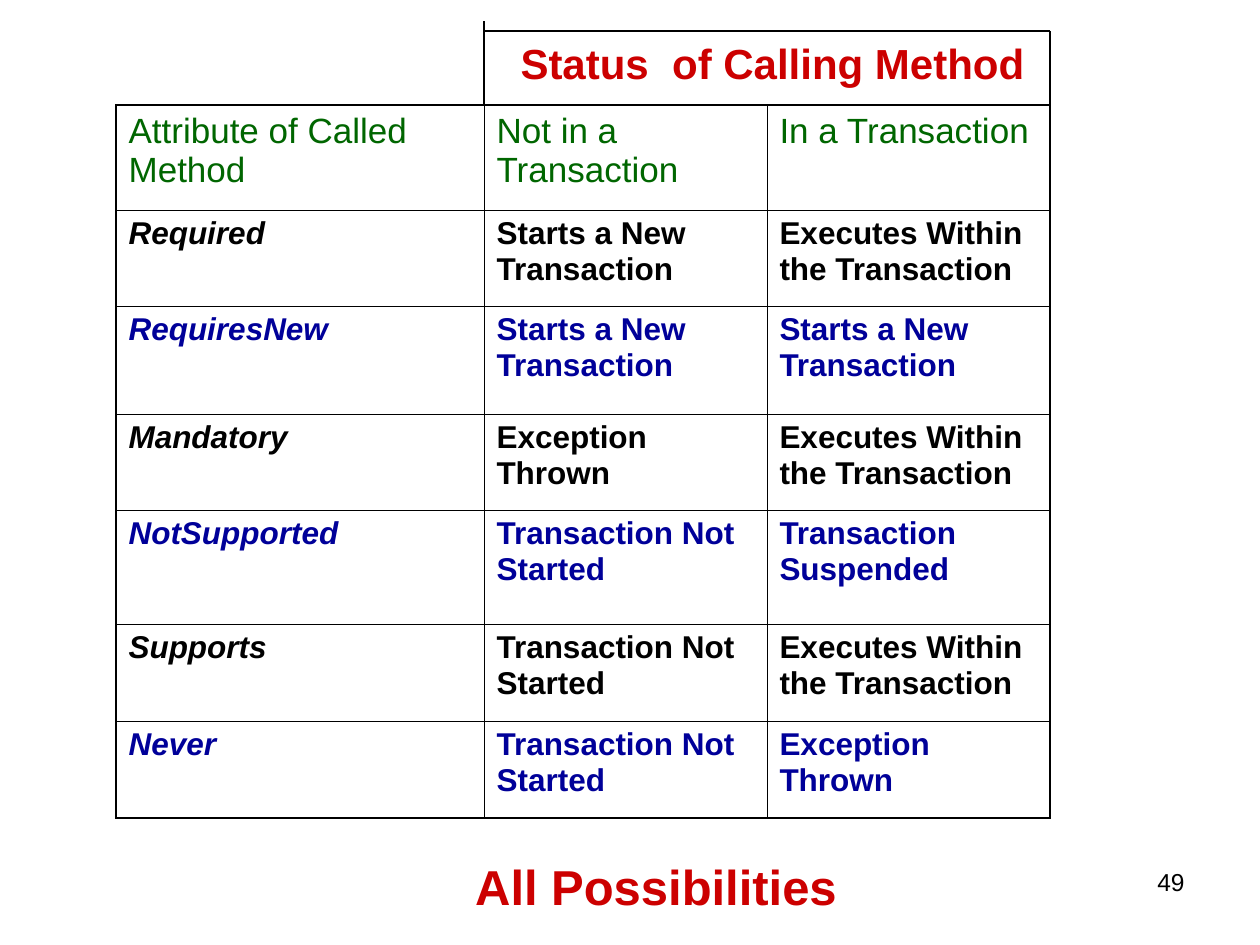
import pptx
import pptx.util
import pptx.dml.color
import pptx.enum.shapes
import pptx.enum.text
import pptx.oxml.ns
from lxml import etree

PX = 914400 / 126
FONT = "Arial"
BLACK, RED, GREEN, BLUE = "000000", "CC0000", "006600", "000099"
THIN, THICK = 0.45, 1.08
ALIGN = pptx.enum.text.PP_ALIGN

COLUMNS = [368, 283, 283]
ROWS = [105, 96, 108, 96, 114, 97, 97]
CELLS = [
    ["Attribute of Called Method", "Not in a Transaction", "In a Transaction"],
    ["Required", "Starts a New Transaction", "Executes Within the Transaction"],
    ["RequiresNew", "Starts a New Transaction", "Starts a New Transaction"],
    ["Mandatory", "Exception Thrown", "Executes Within the Transaction"],
    ["NotSupported", "Transaction Not Started", "Transaction Suspended"],
    ["Supports", "Transaction Not Started", "Executes Within the Transaction"],
    ["Never", "Transaction Not Started", "Exception Thrown"],
]


def emu(px):
    return pptx.util.Emu(round(px * PX))


def color(code):
    return pptx.dml.color.RGBColor.from_string(code)


def write(frame, text, size, code, bold=False, italic=False, align=ALIGN.LEFT, before=0):
    frame.word_wrap = True
    para = frame.paragraphs[0]
    para.alignment = align
    para.space_before = pptx.util.Pt(before)
    span = para.add_run()
    span.text = text
    span.font.name = FONT
    span.font.size = pptx.util.Pt(size)
    span.font.bold = bold
    span.font.italic = italic
    span.font.color.rgb = color(code)


def place(shape, left, top, width, height):
    shape.left, shape.top = emu(left), emu(top)
    shape.width, shape.height = emu(width), emu(height)


def add_text(page, box, *args, **options):
    shape = page.shapes.add_textbox(*map(emu, box))
    write(shape.text_frame, *args, **options)


def add_line(page, x1, y1, x2, y2):
    line = page.shapes.add_connector(
        pptx.enum.shapes.MSO_CONNECTOR.STRAIGHT, emu(x1), emu(y1), emu(x2), emu(y2))
    line.line.color.rgb = color(BLACK)
    line.line.width = pptx.util.Pt(0.75)
    etree.SubElement(line._element.spPr, pptx.oxml.ns.qn("a:effectLst"))


def set_borders(cell, widths):
    """Draw the borders in the order left, right, top, bottom."""
    properties = cell._tc.get_or_add_tcPr()
    for index, (side, width) in enumerate(zip("LRTB", widths)):
        border = etree.Element(pptx.oxml.ns.qn("a:ln" + side), w=str(pptx.util.Pt(width)))
        fill = etree.SubElement(border, pptx.oxml.ns.qn("a:solidFill"))
        etree.SubElement(fill, pptx.oxml.ns.qn("a:srgbClr"), val=BLACK)
        properties.insert(index, border)


def attribute_table(page, left, top):
    frame = page.shapes.add_table(len(ROWS), len(COLUMNS), emu(left), emu(top),
                                  emu(sum(COLUMNS)), emu(sum(ROWS)))
    table = frame.table
    table.first_row = table.horz_banding = False
    for column, width in zip(table.columns, COLUMNS):
        column.width = emu(width)
    for row, height in zip(table.rows, ROWS):
        row.height = emu(height)

    last_row, last_column = len(ROWS) - 1, len(COLUMNS) - 1
    for r, texts in enumerate(CELLS):
        for c, text in enumerate(texts):
            cell = table.cell(r, c)
            cell.fill.background()
            if r == 0:
                write(cell.text_frame, text, 20, GREEN, before=5)
            else:
                write(cell.text_frame, text, 18, BLACK if r % 2 else BLUE,
                      bold=True, italic=c == 0, before=4.5)
            outer = [c == 0, c == last_column, r == 0, r == last_row]
            set_borders(cell, [THICK if edge else THIN for edge in outer])


def status_heading(page, left, top, width, height):
    add_text(page, (left - 10, top, width + 31, 63), "Status  of Calling Method", 24, RED,
             bold=True, align=ALIGN.CENTER, before=15)
    # Open frame above the two status columns
    right, bottom = left + width, top + height
    add_line(page, left, bottom, left, top - 10)
    add_line(page, left, top, right, top)
    add_line(page, right, top, right, bottom)


def slide_title(page, left, top, width, height):
    title = page.shapes.title
    place(title, left, top, width, height)
    title.text_frame.auto_size = pptx.enum.text.MSO_AUTO_SIZE.NONE
    title.text_frame.vertical_anchor = pptx.enum.text.MSO_ANCHOR.TOP
    write(title.text_frame, "All Possibilities", 28, RED,
          bold=True, align=ALIGN.CENTER, before=17.5)


def main():
    deck = pptx.Presentation()
    deck.slide_width, deck.slide_height = emu(1260), emu(945)
    page = deck.slides.add_slide(deck.slide_layouts[5])

    left, top = 116, 105
    attribute_table(page, left, top)
    status_heading(page, left + COLUMNS[0], 31, sum(COLUMNS[1:]), top - 31)
    slide_title(page, 283, 850, 746, 72)

    # Page number
    add_text(page, (903, 861, 294, 66), "49", 14, BLACK, align=ALIGN.RIGHT)
    deck.save("out.pptx")


if __name__ == "__main__":
    main()
